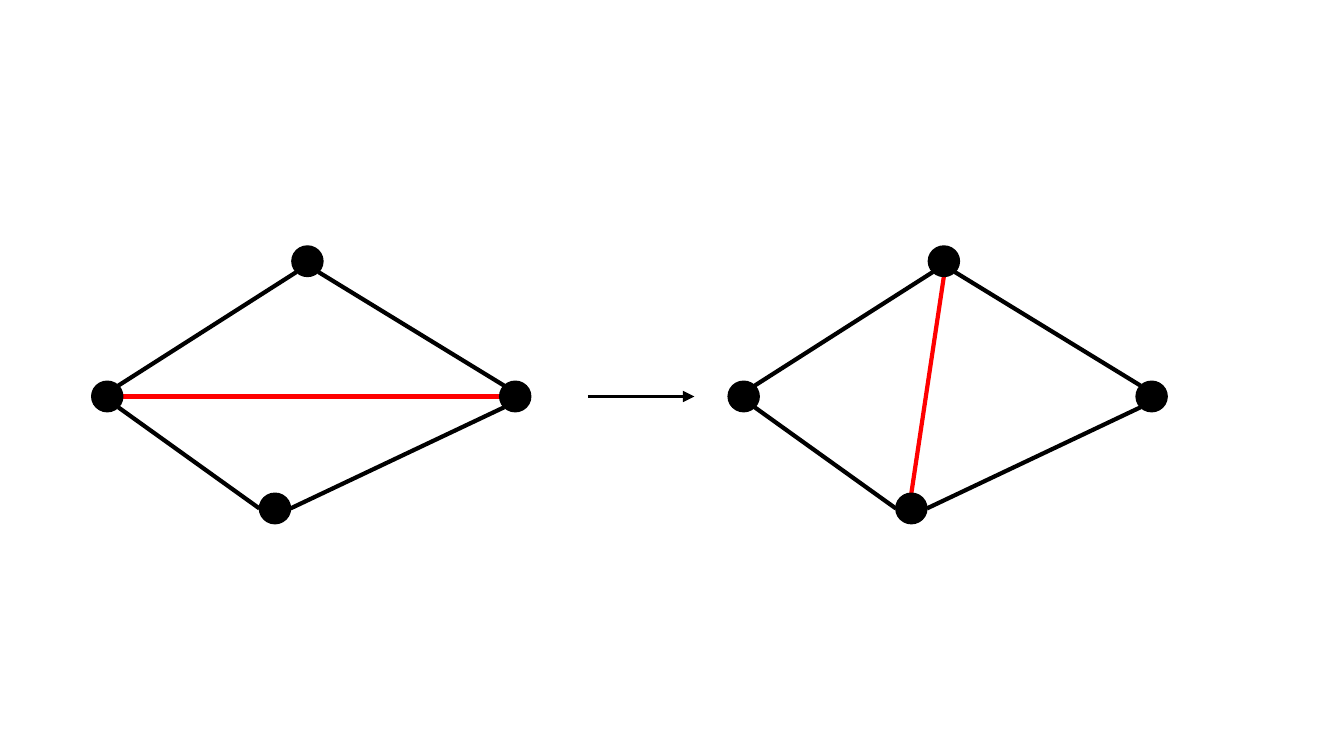
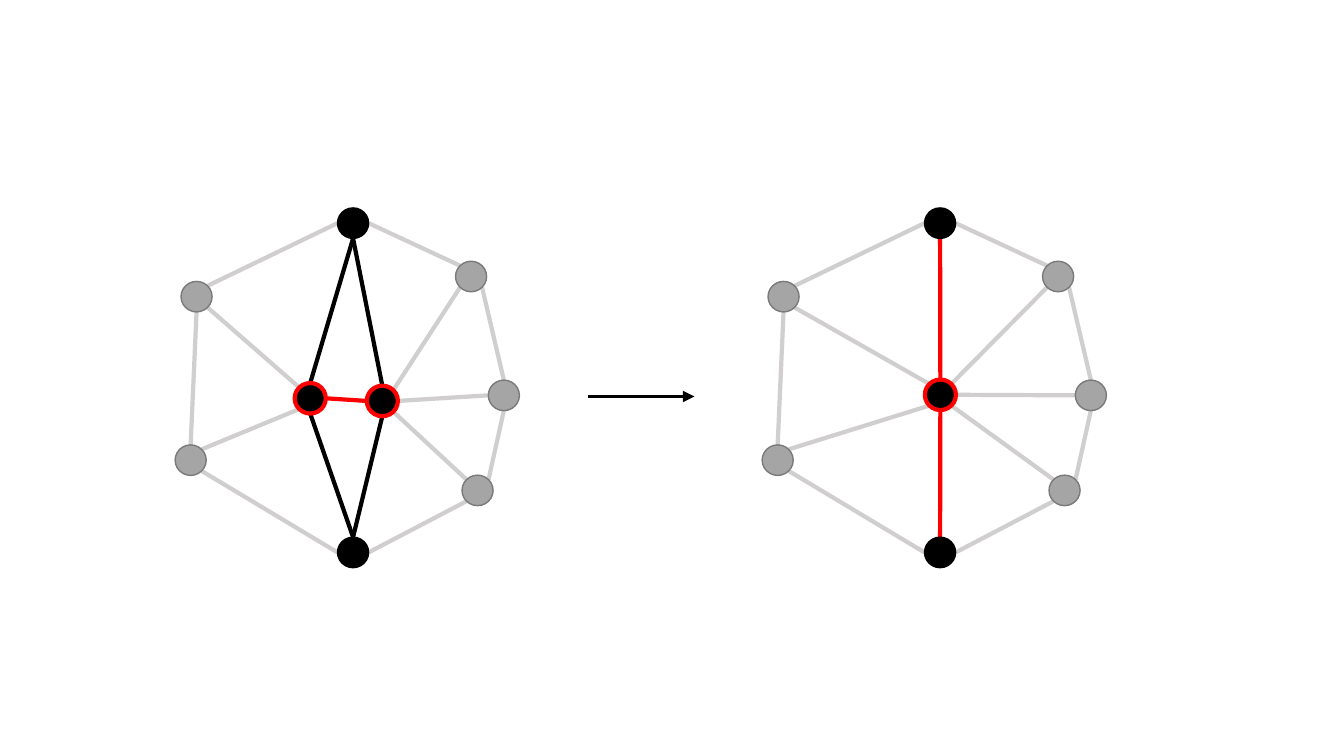
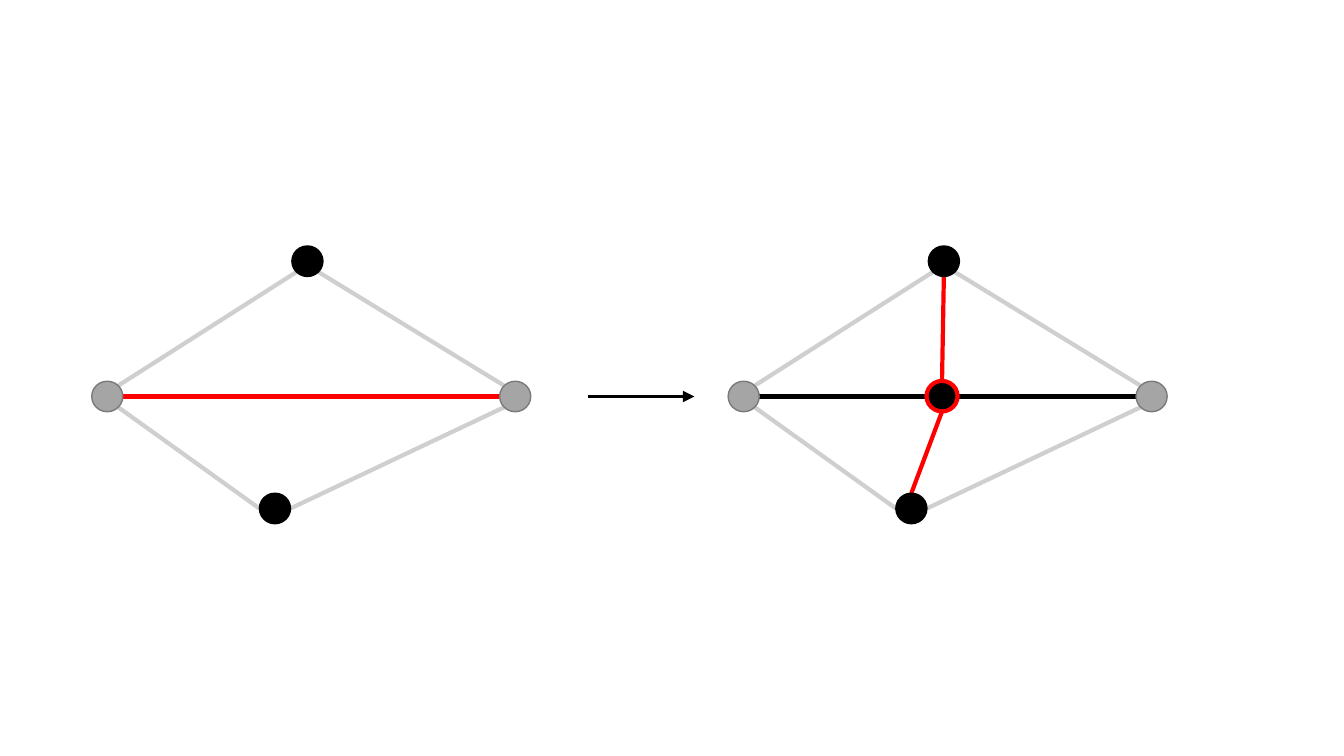
"""Build three slides of mesh operations: edge flip, edge collapse and edge split."""
from dataclasses import dataclass
from math import cos, radians, sin

from lxml.etree import SubElement
from pptx import Presentation
from pptx.dml.color import RGBColor as RGB
from pptx.enum.shapes import MSO_CONNECTOR as CONN, MSO_SHAPE as SHAPE
from pptx.oxml.ns import qn
from pptx.util import Pt


@dataclass(frozen=True)
class Theme:
    black: RGB = RGB(0, 0, 0)
    red: RGB = RGB(255, 0, 0)
    pale: RGB = RGB(0xD0, 0xCE, 0xCE)
    grey: RGB = RGB(0xA5, 0xA5, 0xA5)
    grey_rim: RGB = RGB(0x7A, 0x7A, 0x7A)
    node_w: float = 22.2
    node_h: float = 21.8
    edge: float = 3
    rim: float = 1
    arrow: float = 2.75


T = Theme()
SITES = ["n", "nw", "w", "sw", "s", "se", "e", "ne"]
STYLES = {
    "black": (T.black, T.black, T.rim),
    "grey": (T.grey, T.grey_rim, T.rim),
    "ringed": (T.black, T.red, T.edge),
}

DIAMOND = {"W": (76.6, 283.2), "N": (219.6, 186.6),
           "E": (368, 283.2), "S": (196.4, 363.2)}
DIAMOND_RIM = "W.ne-N.sw W.se-S.w S.e-E.sw N.se-E.nw"
ACROSS = "W.e-E.w"
SPLIT = {**DIAMOND, "M": (218.3, 283)}

WHEEL = {"N": (252.2, 159.4), "NE": (336.5, 197.5), "E": (359.9, 282.4),
         "SE": (341.1, 350.3), "S": (252.2, 394.6), "SW": (136.2, 328.7),
         "NW": (140.4, 211.9)}
WHEEL_RIM = "N.e-NE.nw NE.se-E.n E.s-SE.ne SE.sw-S.e S.w-SW.se SW.n-NW.s NW.ne-N.w"
SPOKES = "{0}.nw-NW.se {0}.sw-SW.ne {1}.ne-NE.sw {1}.e-E.w {1}.se-SE.nw"
WHEEL_PALE = WHEEL_RIM + " " + SPOKES
TWO_HUBS = {**WHEEL, "A": (221.6, 284.5), "B": (273.1, 286.4)}
ONE_HUB = {**WHEEL, "H": (252.4, 282)}
WHEEL_GREY = ["NE", "E", "SE", "SW", "NW"]

DIAMOND_SHIFT = 454.6
WHEEL_SHIFT = 419.3

SLIDES = [
    [
        (0, DIAMOND, [], [], [(DIAMOND_RIM, T.black), (ACROSS, T.red)]),
        (DIAMOND_SHIFT, DIAMOND, [], [], [(DIAMOND_RIM, T.black), ("S.n-N.s", T.red)]),
    ],
    [
        (0, TWO_HUBS, WHEEL_GREY, ["A", "B"],
         [(WHEEL_PALE.format("A", "B"), T.pale),
          ("A.n-N.s A.s-S.n N.s-B.n S.n-B.s", T.black), ("A.e-B.w", T.red)]),
        (WHEEL_SHIFT, ONE_HUB, WHEEL_GREY, ["H"],
         [(WHEEL_PALE.format("H", "H"), T.pale), ("N.s-H.n H.s-S.n", T.red)]),
    ],
    [
        (0, DIAMOND, ["W", "E"], [], [(DIAMOND_RIM, T.pale), (ACROSS, T.red)]),
        (DIAMOND_SHIFT, SPLIT, ["W", "E"], ["M"],
         [(DIAMOND_RIM, T.pale), (ACROSS, T.black), ("M.n-N.s S.n-M.s", T.red)]),
    ],
]


def add_line(s, start, end, color, width):
    """Add a straight line without a shadow."""
    c = s.shapes.add_connector(CONN.STRAIGHT, *(Pt(v) for v in (*start, *end)))
    c.line.color.rgb = color
    c.line.width = Pt(width)
    SubElement(c.element.spPr, qn("a:effectLst"))
    return c


def add_node(s, x, y, style):
    """Add a round node centred on a point."""
    fill, rim, width = STYLES[style]
    sp = s.shapes.add_shape(SHAPE.OVAL, Pt(x - T.node_w / 2), Pt(y - T.node_h / 2),
                            Pt(T.node_w), Pt(T.node_h))
    sp.shadow.inherit = False
    sp.fill.solid()
    sp.fill.fore_color.rgb = fill
    sp.line.color.rgb = rim
    sp.line.width = Pt(width)
    return sp


prs = Presentation()
prs.slide_width, prs.slide_height = Pt(960), Pt(540)

for graphs in SLIDES:
    s = prs.slides.add_slide(prs.slide_layouts[6])
    arrow = add_line(s, (419.9, 283.2), (496, 283.2), T.black, T.arrow)
    SubElement(arrow.line._get_or_add_ln(), qn("a:tailEnd"), type="triangle")

    for shift, points, greys, ringed, edge_sets in graphs:
        centres = {name: (x + shift, y) for name, (x, y) in points.items()}
        nodes = {}
        for name, (x, y) in centres.items():
            style = "grey" if name in greys else "ringed" if name in ringed else "black"
            nodes[name] = add_node(s, x, y, style)

        for edges, color in edge_sets:
            for edge in edges.split():
                ends, joins = [], []
                for end in edge.split("-"):
                    name, side = end.split(".")
                    site = SITES.index(side)
                    angle = radians(90 + 45 * site)
                    x, y = centres[name]
                    ends.append((x + cos(angle) * T.node_w / 2,
                                 y - sin(angle) * T.node_h / 2))
                    joins.append((nodes[name].shape_id, site))
                c = add_line(s, *ends, color, T.edge)
                props = c.element.find(qn("p:nvCxnSpPr")).find(qn("p:cNvCxnSpPr"))
                for tag, (node_id, site) in zip(("a:stCxn", "a:endCxn"), joins):
                    SubElement(props, qn(tag), id=str(node_id), idx=str(site))

        for sp in nodes.values():
            s.shapes.element.append(sp.element)

prs.save("out.pptx")
